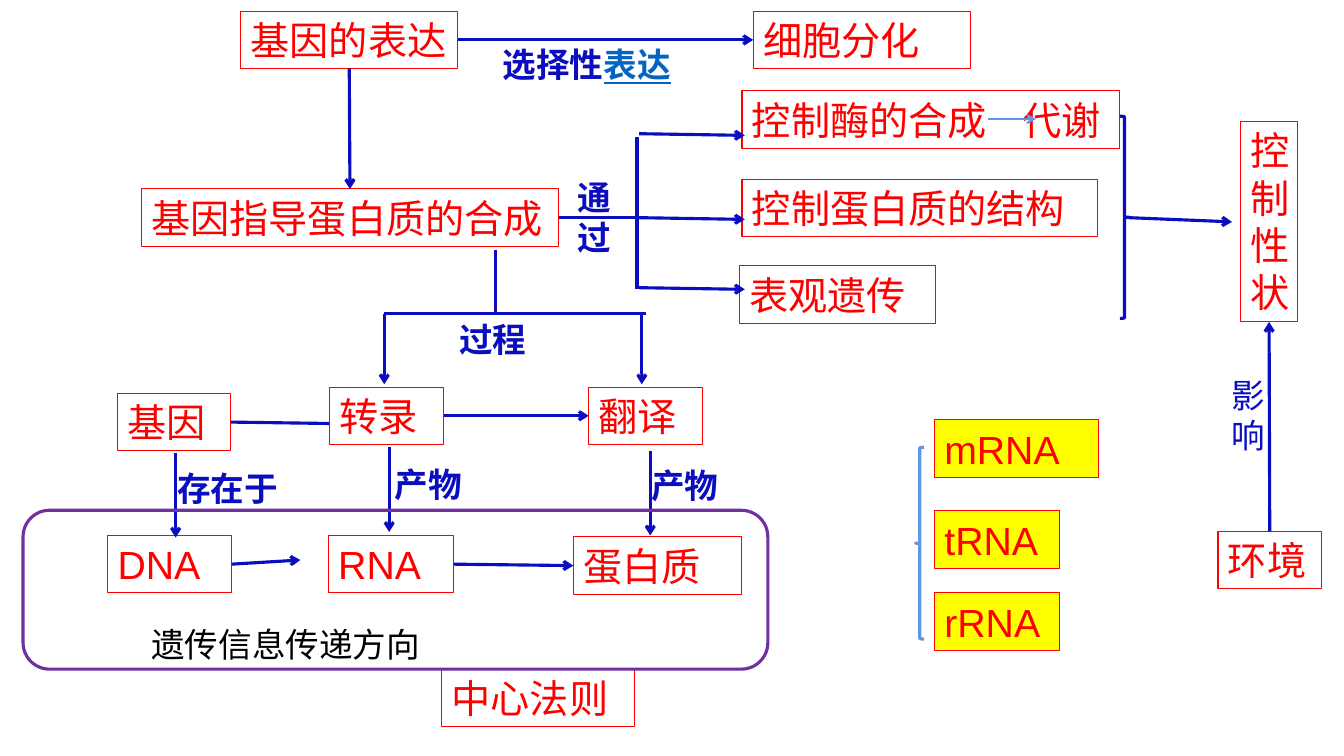
from collections import namedtuple
from dataclasses import dataclass

from lxml import etree
from pptx import Presentation
from pptx.dml.color import RGBColor
from pptx.enum.shapes import MSO_CONNECTOR, MSO_SHAPE
from pptx.enum.text import MSO_ANCHOR, MSO_AUTO_SIZE, PP_ALIGN
from pptx.oxml.ns import qn
from pptx.util import Pt

STRAIGHT = MSO_CONNECTOR.STRAIGHT
RECTANGLE = MSO_SHAPE.RECTANGLE
ROUNDED = MSO_SHAPE.ROUNDED_RECTANGLE
LEFT_BRACE = MSO_SHAPE.LEFT_BRACE
RIGHT_BRACE = MSO_SHAPE.RIGHT_BRACE
TOP_ANCHOR = MSO_ANCHOR.TOP
GROW = MSO_AUTO_SIZE.SHAPE_TO_FIT_TEXT
LEFT_ALIGN = PP_ALIGN.LEFT
TOP, LEFT, BOTTOM, RIGHT = range(4)

Joint = namedtuple("Joint", "box side")


@dataclass(frozen=True)
class Theme:
    """Colours, type sizes and line widths of the concept map."""
    font: str = "Arial"
    red: str = "FF0000"
    blue: str = "0A0EBE"
    light_blue: str = "6096E6"
    link_blue: str = "0563C1"
    purple: str = "7030A0"
    yellow: str = "FFFF00"
    white: str = "FFFFFF"
    black: str = "000000"
    box_size: int = 28
    label_size: int = 24
    border: float = 0.75
    thin: float = 1.5
    thick: float = 2.25
    box_height: int = 41


def add_span(para, text, font, size, color, bold=False, underline=False):
    """Append formatted text to a paragraph."""
    span = para.add_run()
    span.text = text
    span.font.name = font
    span.font.size = Pt(size)
    span.font.bold = bold
    span.font.underline = underline
    span.font.color.rgb = RGBColor.from_string(color)


class ConceptMap:
    """Draws the elements of a concept map on one slide."""

    def __init__(self, page, theme):
        """Keep the slide and its style."""
        self.shapes = page.shapes
        self.theme = theme

    def outline(self, kind, left, top, width, height, color, weight, fill=None):
        """Draw a preset shape with a coloured outline."""
        shape = self.shapes.add_shape(kind, Pt(left), Pt(top), Pt(width), Pt(height))
        shape.shadow.inherit = False
        if fill:
            shape.fill.solid()
            shape.fill.fore_color.rgb = RGBColor.from_string(fill)
        else:
            shape.fill.background()
        shape.line.color.rgb = RGBColor.from_string(color)
        shape.line.width = Pt(weight)
        return shape

    def prepare(self, frame):
        """Make a text frame wrap from its top left and return its paragraph."""
        frame.word_wrap = True
        frame.auto_size = GROW
        frame.vertical_anchor = TOP_ANCHOR
        para = frame.paragraphs[0]
        para.alignment = LEFT_ALIGN
        return para

    def box(self, text, left, top, width, height=None, fill=None, tab=None):
        """Draw a red bordered concept box."""
        theme = self.theme
        box = self.outline(RECTANGLE, left, top, width, height or theme.box_height,
                           theme.red, theme.border, fill)
        para = self.prepare(box.text_frame)
        if tab:
            stops = etree.SubElement(para._p.get_or_add_pPr(), qn("a:tabLst"))
            etree.SubElement(stops, qn("a:tab"), pos=str(Pt(tab)), algn="l")
        add_span(para, text, theme.font, theme.box_size, theme.red)
        return box

    def label(self, text, left, top, width, height=36, color=None, bold=True, linked=""):
        """Write a label, optionally ending in underlined text."""
        theme = self.theme
        box = self.shapes.add_textbox(Pt(left), Pt(top), Pt(width), Pt(height))
        para = self.prepare(box.text_frame)
        add_span(para, text, theme.font, theme.label_size, color or theme.blue, bold)
        if linked:
            add_span(para, linked, theme.font, theme.label_size, theme.link_blue,
                     bold, underline=True)

    def link(self, start, end, arrow=True, color=None, weight=None):
        """Draw a line between two points or box joints."""
        points = [(0, 0) if isinstance(spot, Joint) else spot for spot in (start, end)]
        line = self.shapes.add_connector(
            STRAIGHT, *(Pt(value) for point in points for value in point))
        if isinstance(start, Joint):
            line.begin_connect(*start)
        if isinstance(end, Joint):
            line.end_connect(*end)
        line.line.color.rgb = RGBColor.from_string(color or self.theme.blue)
        line.line.width = Pt(weight or self.theme.thick)
        if arrow:
            etree.SubElement(line.line._get_or_add_ln(), qn("a:tailEnd"), type="arrow")
        etree.SubElement(line._element.spPr, qn("a:effectLst"))


def draw_expression(chart):
    """Draw gene expression, protein synthesis and the control of traits."""
    theme = chart.theme
    expression = chart.box("基因的表达", 172, 8, 155)
    differentiation = chart.box("细胞分化", 538, 8, 155)
    synthesis = chart.box("基因指导蛋白质的合成", 101, 135, 298)
    chart.box("控制蛋白质的结构", 530, 128, 254)
    chart.box("表观遗传", 528, 190, 140)
    chart.box("控制酶的合成\t代谢", 530, 65, 270, tab=193)
    chart.link((706, 85), (740, 85), color=theme.light_blue, weight=theme.thin)
    traits = chart.box("控制性状", 886, 87, 41, 143)
    environment = chart.box("环境", 870, 379.5, 74)

    chart.link(Joint(expression, BOTTOM), Joint(synthesis, TOP))
    chart.link(Joint(expression, RIGHT), Joint(differentiation, LEFT))
    chart.link(Joint(synthesis, RIGHT), (453.5, 155.5), arrow=False)
    chart.link((455, 98), (455, 206.5), arrow=False)
    for top in (95.5, 155.5, 205.5):
        chart.link((456.5, top), (532, top + 1.2))
    chart.outline(RIGHT_BRACE, 800, 83, 6.5, 144.5, theme.blue, theme.thick)
    chart.link((806.5, 155.5), (880, 158.5))
    chart.link(Joint(environment, TOP), Joint(traits, BOTTOM))

    chart.label("选择性", 352, 28, 143, linked="表达")
    chart.label("通过", 405.5, 122.5, 53, 65.5)
    chart.label("影响", 872.5, 264, 35, 65.5, bold=False)


def draw_process(chart):
    """Draw transcription, translation and the central dogma."""
    theme = chart.theme
    gene = chart.box("基因", 84, 281, 81)
    transcription = chart.box("转录", 235.5, 276.5, 81.5)
    translation = chart.box("翻译", 420.5, 276.5, 81.5)
    dna = chart.box("DNA", 77, 382.5, 88.5)
    rna = chart.box("RNA", 234.5, 382.5, 89.5)
    protein = chart.box("蛋白质", 409.5, 383.5, 120.5)
    chart.box("中心法则", 315.5, 478, 137.5, fill=theme.white)

    chart.link((354, 178.5), (354, 224), arrow=False)
    chart.link((274.5, 224), (461.5, 224), arrow=False)
    for left in (274.5, 458.5):
        chart.link((left, 224), (left, 274.5))
    chart.link(Joint(gene, RIGHT), (235, 302.5), arrow=False)
    chart.link(Joint(transcription, RIGHT), Joint(translation, LEFT))
    for left, top in ((125.5, 323.5), (278, 319.5), (464.5, 322)):
        chart.link((left, top), (left, top + 60.5))
    chart.link(Joint(dna, RIGHT), (214.5, 400))
    chart.link(Joint(rna, RIGHT), Joint(protein, LEFT))
    chart.outline(ROUNDED, 16.5, 364.5, 532, 113.5, theme.purple, theme.thick)

    chart.label("存在于", 119.5, 331, 89)
    chart.label("产物", 275, 327.5, 66)
    chart.label("产物", 458, 328.5, 66)
    chart.label("过程", 321, 224, 66)
    chart.label("遗传信息传递方向", 101, 442, 220, color=theme.black, bold=False)


def draw_rna_kinds(chart):
    """Draw the three kinds of RNA beside their brace."""
    theme = chart.theme
    for text, top, width in (("mRNA", 300, 117), ("tRNA", 365, 89.5), ("rRNA", 423.5, 89.5)):
        chart.box(text, 667.5, top, width, fill=theme.yellow)
    chart.outline(LEFT_BRACE, 654, 319.5, 6, 137, theme.light_blue, theme.thick)


def main():
    """Build and save the deck."""
    deck = Presentation()
    deck.slide_width, deck.slide_height = Pt(960), Pt(540)
    page = deck.slides.add_slide(deck.slide_layouts[6])
    chart = ConceptMap(page, Theme())
    draw_expression(chart)
    draw_process(chart)
    draw_rna_kinds(chart)
    deck.save("out.pptx")


if __name__ == "__main__":
    main()
